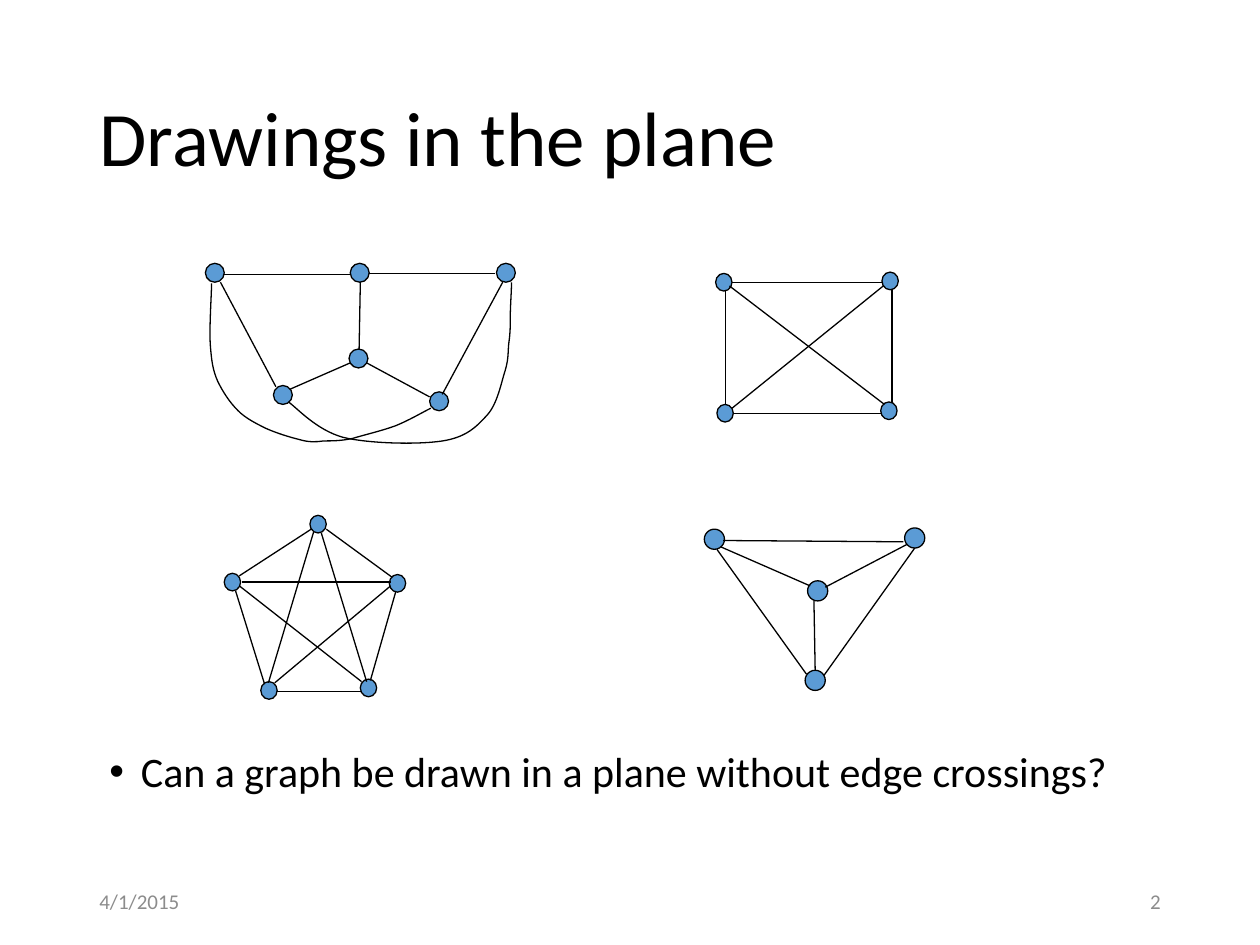
from dataclasses import dataclass

import lxml.etree
import pptx
import pptx.dml.color
import pptx.enum.shapes
import pptx.enum.text
import pptx.oxml.ns
import pptx.util

Inches = pptx.util.Inches
Align = pptx.enum.text.PP_ALIGN
Anchor = pptx.enum.text.MSO_ANCHOR
Shape = pptx.enum.shapes.MSO_SHAPE
qn = pptx.oxml.ns.qn
Point = tuple[float, float]
Box = tuple[float, float, float, float]


@dataclass(frozen=True)
class Theme:
    font: str = "Calibri"
    ink: str = "000000"
    muted: str = "8C8C8C"
    node: str = "5B9BD5"
    title_size: float = 44
    body_size: float = 24
    footer_size: float = 12
    line_width: float = 0.75


@dataclass(frozen=True)
class Graph:
    node_size: Point
    nodes: tuple[Point, ...]
    edges: tuple[Box, ...]
    outlines: tuple[tuple[Point, ...], ...] = ()
    frame: Box | None = None


THEME = Theme()

PRISM = Graph(
    node_size=(0.15, 0.15),
    nodes=((1.63, 2.09), (2.78, 2.09), (3.94, 2.09), (2.77, 2.77), (3.41, 3.11), (2.17, 3.06)),
    edges=(
        (1.77, 2.18, 2.78, 2.18), (2.93, 2.17, 3.93, 2.17), (2.3, 3.09, 2.78, 2.88),
        (2.91, 2.88, 3.41, 3.15), (2.86, 2.24, 2.85, 2.77), (3.99, 2.24, 3.51, 3.13),
    ),
    outlines=(
        ((1.75, 2.24), (2.19, 3.07)),
        (
            (2.29, 3.19), (2.36, 3.24), (2.51, 3.41), (2.72, 3.47), (2.92, 3.52), (3.31, 3.53),
            (3.51, 3.5), (3.7, 3.47), (3.78, 3.39), (3.87, 3.29), (3.95, 3.2), (3.98, 3.03),
            (4.01, 2.94), (4.04, 2.84), (4.03, 2.78), (4.04, 2.71), (4.05, 2.64), (4.05, 2.6),
            (4.05, 2.52), (4.05, 2.44), (4.06, 2.3), (4.06, 2.24),
        ),
        (
            (1.68, 2.25), (1.68, 2.33), (1.66, 2.61), (1.67, 2.74), (1.68, 2.87), (1.69, 2.94),
            (1.73, 3.03), (1.77, 3.11), (1.82, 3.19), (1.89, 3.26), (1.95, 3.32), (2.03, 3.36),
            (2.11, 3.4), (2.2, 3.44), (2.3, 3.47), (2.38, 3.49), (2.45, 3.51), (2.5, 3.51),
            (2.57, 3.5), (2.64, 3.5), (2.71, 3.5), (2.8, 3.48), (2.9, 3.45), (3.03, 3.42),
            (3.14, 3.38), (3.24, 3.34), (3.36, 3.27), (3.42, 3.24),
        ),
    ),
)

SQUARE = Graph(
    node_size=(0.13, 0.14),
    nodes=((5.68, 2.17), (7, 2.16), (6.99, 3.19), (5.69, 3.21)),
    edges=((5.81, 3.24, 7.01, 2.27), (5.79, 2.27, 7.02, 3.21)),
    frame=(5.76, 2.24, 1.32, 1.04),
)

TRIANGLE = Graph(
    node_size=(0.16, 0.16),
    nodes=((5.59, 4.2), (7.18, 4.19), (6.39, 5.32), (6.41, 4.61)),
    edges=(
        (5.74, 4.29, 7.17, 4.3), (6.46, 4.77, 6.47, 5.32), (5.72, 4.34, 6.43, 4.65),
        (7.2, 4.32, 6.55, 4.66), (7.26, 4.35, 6.54, 5.36), (5.69, 4.36, 6.4, 5.35),
    ),
)

PENTAGON = Graph(
    node_size=(0.13, 0.14),
    nodes=((1.78, 4.55), (3.09, 4.56), (2.86, 5.39), (2.46, 4.09), (2.07, 5.41)),
    edges=(
        (2.18, 5.42, 3.1, 4.65), (1.9, 4.65, 2.87, 5.41), (1.92, 4.62, 3.1, 4.62),
        (2.47, 4.2, 1.9, 4.57), (2.59, 4.2, 3.11, 4.58), (2.55, 4.23, 2.91, 5.41),
        (2.49, 4.22, 2.13, 5.42), (2.2, 5.49, 2.87, 5.49), (1.87, 4.69, 2.1, 5.43),
        (3.14, 4.7, 2.94, 5.4),
    ),
)


def color(value: str) -> pptx.dml.color.RGBColor:
    return pptx.dml.color.RGBColor.from_string(value)


def add_text(slide, text: str, area: Box, *, size: float, ink: str = THEME.ink,
             align=Align.LEFT, anchor=Anchor.MIDDLE, spacing: float = 1.0,
             bullet: str = "") -> None:
    box = slide.shapes.add_textbox(*map(Inches, area))
    frame = box.text_frame
    frame.word_wrap = True
    frame.vertical_anchor = anchor
    para = frame.paragraphs[0]
    para.alignment = align
    para.line_spacing = spacing
    if bullet:
        properties = para._p.get_or_add_pPr()
        properties.set("marL", str(Inches(0.25)))
        properties.set("indent", str(Inches(-0.25)))
        for tag, name, value in (("a:buFont", "typeface", "Arial"), ("a:buChar", "char", bullet)):
            lxml.etree.SubElement(properties, qn(tag)).set(name, value)
    span = para.add_run()
    span.text = text
    span.font.name = THEME.font
    span.font.size = pptx.util.Pt(size)
    span.font.color.rgb = color(ink)


def style_line(line) -> None:
    line.color.rgb = color(THEME.ink)
    line.width = pptx.util.Pt(THEME.line_width)


def style_shape(shape, fill: str = "") -> None:
    shape.shadow.inherit = False
    if fill:
        shape.fill.solid()
        shape.fill.fore_color.rgb = color(fill)
    else:
        shape.fill.background()
    style_line(shape.line)


def add_edge(shapes, ends: Box) -> None:
    edge = shapes.add_connector(pptx.enum.shapes.MSO_CONNECTOR.STRAIGHT, *map(Inches, ends))
    style_line(edge.line)
    lxml.etree.SubElement(edge._element.spPr, qn("a:effectLst"))


def add_outline(shapes, points: tuple[Point, ...]) -> None:
    start, *others = [(Inches(x), Inches(y)) for x, y in points]
    builder = shapes.build_freeform(*start)
    builder.add_line_segments(others, close=False)
    shape = builder.convert_to_shape()
    style_shape(shape)
    outline = next(shape._element.iter(qn("a:path")))
    segments = outline.findall(qn("a:lnTo"))
    for triple in zip(segments[::3], segments[1::3], segments[2::3]):
        curve = lxml.etree.SubElement(outline, qn("a:cubicBezTo"))
        for segment in triple:
            curve.append(segment[0])
            outline.remove(segment)


def add_graph(slide, graph: Graph) -> None:
    shapes = slide.shapes.add_group_shape().shapes
    if graph.frame:
        style_shape(shapes.add_shape(Shape.RECTANGLE, *map(Inches, graph.frame)))
    for corner in graph.nodes:
        node = shapes.add_shape(Shape.OVAL, *map(Inches, corner + graph.node_size))
        style_shape(node, THEME.node)
    for ends in graph.edges:
        add_edge(shapes, ends)
    for points in graph.outlines:
        add_outline(shapes, points)


def main() -> None:
    """Build the slide on drawing graphs in the plane."""
    deck = pptx.Presentation()
    deck.slide_width, deck.slide_height = Inches(10), Inches(7.5)
    page = deck.slides.add_slide(deck.slide_layouts[6])
    add_text(page, "4/1/2015", (0.69, 6.95, 2.25, 0.4), size=THEME.footer_size, ink=THEME.muted)
    add_text(page, "2", (7.06, 6.95, 2.25, 0.4), size=THEME.footer_size, ink=THEME.muted,
             align=Align.RIGHT)
    add_text(page, "Drawings in the plane", (0.69, 0.4, 8.62, 1.45), size=THEME.title_size,
             spacing=0.9)
    for graph in (PRISM, SQUARE, TRIANGLE):
        add_graph(page, graph)
    add_text(page, "Can a graph be drawn in a plane without edge crossings?",
             (0.77, 5.91, 8.56, 0.72), size=THEME.body_size, anchor=Anchor.TOP, spacing=0.9,
             bullet="•")
    add_graph(page, PENTAGON)
    deck.save("out.pptx")


if __name__ == "__main__":
    main()
